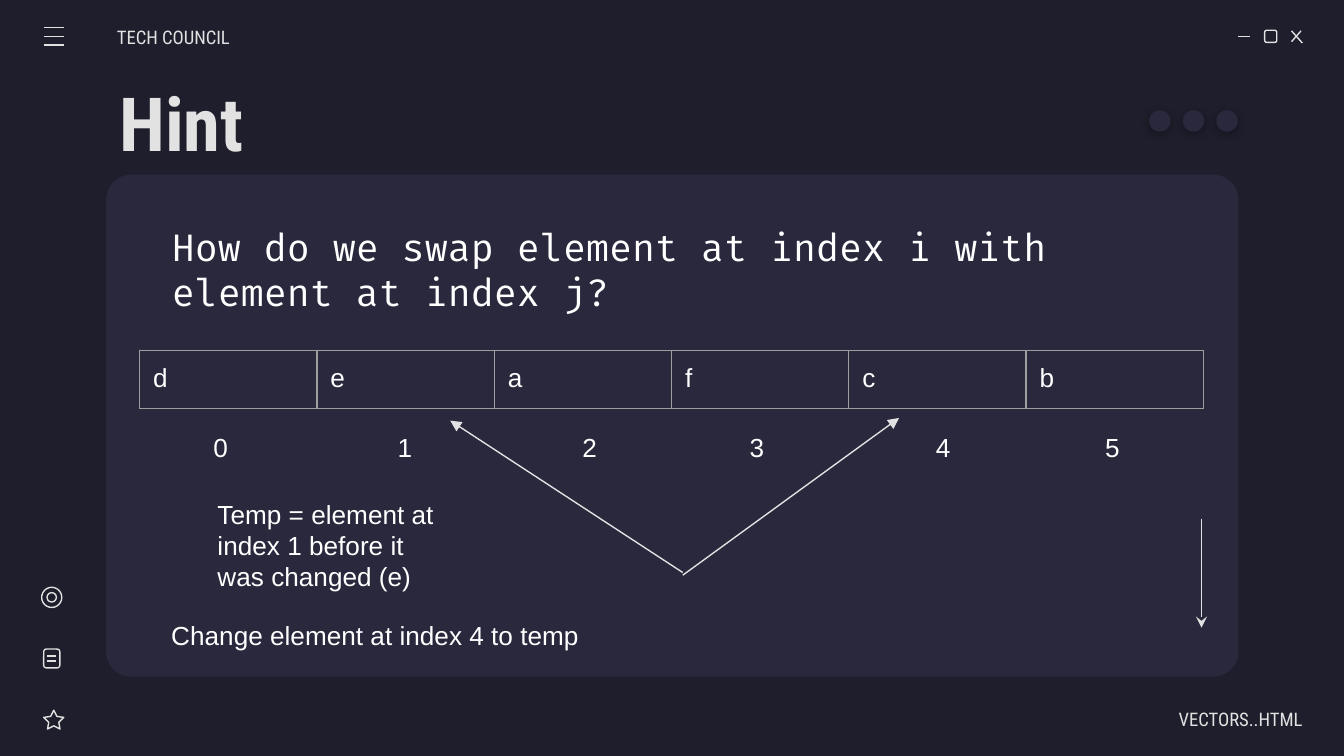
from dataclasses import dataclass
from typing import NamedTuple

from lxml import etree
from pptx import Presentation, util as u
from pptx.dml import color
from pptx.enum import shapes as sh, text as tx
from pptx.oxml import ns

COLS, ROWS = 100, 56.25
CELL = u.Inches(10) / COLS


@dataclass(frozen=True)
class Theme:
    back: str = "1E1E2C"
    panel: str = "29283D"
    pale: str = "E2E2E2"
    white: str = "FFFFFF"
    rule: str = "9E9E9E"
    head: str = "Roboto Condensed"
    code: str = "Fira Code"
    body: str = "Arial"
    title: int = 40
    ask: int = 20
    note: int = 14
    label: int = 10
    line: float = 0.75


T = Theme()


class Box(NamedTuple):
    col: float
    row: float
    wide: float
    high: float


class Line(NamedTuple):
    col: float
    row: float
    to_col: float
    to_row: float
    tip: str = ""


@dataclass(frozen=True)
class Text:
    words: str
    box: Box
    font: str = T.body
    size: int = T.note
    tint: str = T.white
    bold: bool = False
    mid: bool = False
    right: bool = False
    ins: tuple[float, float] = (1, 1)


def span(n: float) -> u.Emu:
    return u.Emu(round(n * CELL))


def rgb(tint: str) -> color.RGBColor:
    return color.RGBColor.from_string(tint)


def add(parent, tag: str, **attrs: str):
    return etree.SubElement(parent, ns.qn(tag), attrs)


def write(para, words: str, font: str, size: int, tint: str, bold: bool = False) -> None:
    run = para.add_run()
    run.text = words
    run.font.name = font
    run.font.size = u.Pt(size)
    run.font.bold = bold
    run.font.color.rgb = rgb(tint)


def draw_text(slide, item: Text) -> None:
    frame = slide.shapes.add_textbox(*map(span, item.box)).text_frame
    frame.word_wrap = True
    frame.margin_left, frame.margin_right = map(span, item.ins)
    frame.margin_top = frame.margin_bottom = span(1)
    frame.vertical_anchor = tx.MSO_ANCHOR.MIDDLE if item.mid else tx.MSO_ANCHOR.TOP
    para = frame.paragraphs[0]
    para.alignment = tx.PP_ALIGN.RIGHT if item.right else tx.PP_ALIGN.LEFT
    write(para, item.words, item.font, item.size, item.tint, item.bold)


def draw_shape(slide, kind: sh.MSO_SHAPE, box: Box, fill: str = ""):
    shape = slide.shapes.add_shape(kind, *map(span, box))
    shape.shadow.inherit = False
    if fill:
        shape.fill.solid()
        shape.fill.fore_color.rgb = rgb(fill)
        shape.line.fill.background()
    else:
        shape.fill.background()
        shape.line.color.rgb = rgb(T.pale)
        shape.line.width = u.Pt(T.line)
    return shape


def draw_line(slide, item: Line) -> None:
    ends = map(span, item[:4])
    link = slide.shapes.add_connector(sh.MSO_CONNECTOR.STRAIGHT, *ends)
    link.line.color.rgb = rgb(T.pale)
    link.line.width = u.Pt(T.line)
    if item.tip:
        add(link.line._get_or_add_ln(), "a:tailEnd", type=item.tip)
    add(link._element.spPr, "a:effectLst")


def draw_dot(slide, col: float) -> None:
    dot = draw_shape(slide, sh.MSO_SHAPE.OVAL, Box(col, 8.2, 1.6, 1.6), T.panel)
    glow = dot._element.spPr.find(ns.qn("a:effectLst"))
    cast = add(glow, "a:outerShdw", blurRad=str(u.Pt(4.5)), dist=str(u.Pt(1.5)),
               dir="5400000", algn="bl", rotWithShape="0")
    add(add(cast, "a:srgbClr", val="000000"), "a:alpha", val="30000")


def draw_table(slide, items: str, box: Box) -> None:
    table = slide.shapes.add_table(1, len(items), *map(span, box)).table
    table.first_row = table.horz_banding = False
    for cell, word in zip(table.iter_cells(), items):
        cell.margin_left = cell.margin_right = span(1)
        cell.margin_top = cell.margin_bottom = span(1)
        props = cell._tc.get_or_add_tcPr()
        for side in "LRTB":
            edge = add(props, f"a:ln{side}", w=str(u.Pt(T.line)))
            add(add(edge, "a:solidFill"), "a:srgbClr", val=T.rule)
        cell.fill.background()
        write(cell.text_frame.paragraphs[0], word, T.body, T.note, T.white)


ICONS = [
    (sh.MSO_SHAPE.ROUNDED_RECTANGLE, Box(94.1, 2.25, 0.9, 0.9)),
    (sh.MSO_SHAPE.STAR_5_POINT, Box(3.25, 52.85, 1.5, 1.4)),
    (sh.MSO_SHAPE.ROUNDED_RECTANGLE, Box(3.25, 48.3, 1.2, 1.4)),
    (sh.MSO_SHAPE.OVAL, Box(3.1, 43.7, 1.5, 1.5)),
    (sh.MSO_SHAPE.OVAL, Box(3.5, 44.1, 0.7, 0.7)),
]
LINES = [
    Line(92.1, 2.7, 93, 2.7),
    Line(96.1, 2.3, 96.9, 3.2),
    Line(96.8, 2.3, 96.1, 3.1),
    *(Line(3.25, row, 4.75, row) for row in (2.05, 2.7, 3.35)),
    *(Line(3.5, row, 4.2, row) for row in (48.8, 49.2)),
    Line(89.4, 38.6, 89.4, 46.7, "stealth"),
    Line(50.8, 42.6, 33.5, 31.3, "triangle"),
    Line(50.8, 42.8, 66.9, 31.1, "triangle"),
]
MARKS = (14.9, 28.6, 42.35, 54.8, 68.65, 81.25)
TEXTS = [
    Text("Hint", Box(7.9, 5.9, 84.3, 6.3), T.head, T.title, T.pale, bold=True, mid=True),
    Text("TECH COUNCIL", Box(8.7, 1.25, 11.7, 3), T.head, T.label, T.pale,
         mid=True, ins=(0, 1)),
    Text("VECTORS..HTML", Box(85.2, 52, 11.7, 3), T.head, T.label, T.pale,
         mid=True, right=True, ins=(1, 0)),
    Text("How do we swap element at index i with element at index j?",
         Box(11.8, 15.7, 76.5, 8.8), T.code, T.ask),
    *(Text(str(n), Box(col, 31.1, 2.6, 4.4)) for n, col in enumerate(MARKS)),
    Text("Change element at index 4 to temp", Box(11.75, 45.1, 73.2, 4.4)),
    Text("Temp = element at index 1 before it was changed (e)",
         Box(15.2, 36.05, 19.4, 9.1)),
]


def main() -> None:
    deck = Presentation()
    deck.slide_width, deck.slide_height = span(COLS), span(ROWS)
    slide = deck.slides.add_slide(deck.slide_layouts[6])
    slide.background.fill.solid()
    slide.background.fill.fore_color.rgb = rgb(T.back)
    panel = draw_shape(slide, sh.MSO_SHAPE.ROUNDED_RECTANGLE,
                       Box(7.9, 13, 84.25, 37.35), T.panel)
    panel.adjustments[0] = 0.05
    for kind, box in ICONS:
        icon = draw_shape(slide, kind, box)
        if kind == sh.MSO_SHAPE.STAR_5_POINT:
            icon.adjustments[0] = 0.25
    for n in range(3):
        draw_dot(slide, 85.5 + 2.5 * n)
    draw_table(slide, "deafcb", Box(10.4, 26.05, 79.15, 4.35))
    for line in LINES:
        draw_line(slide, line)
    for item in TEXTS:
        draw_text(slide, item)
    deck.save("out.pptx")


if __name__ == "__main__":
    main()
